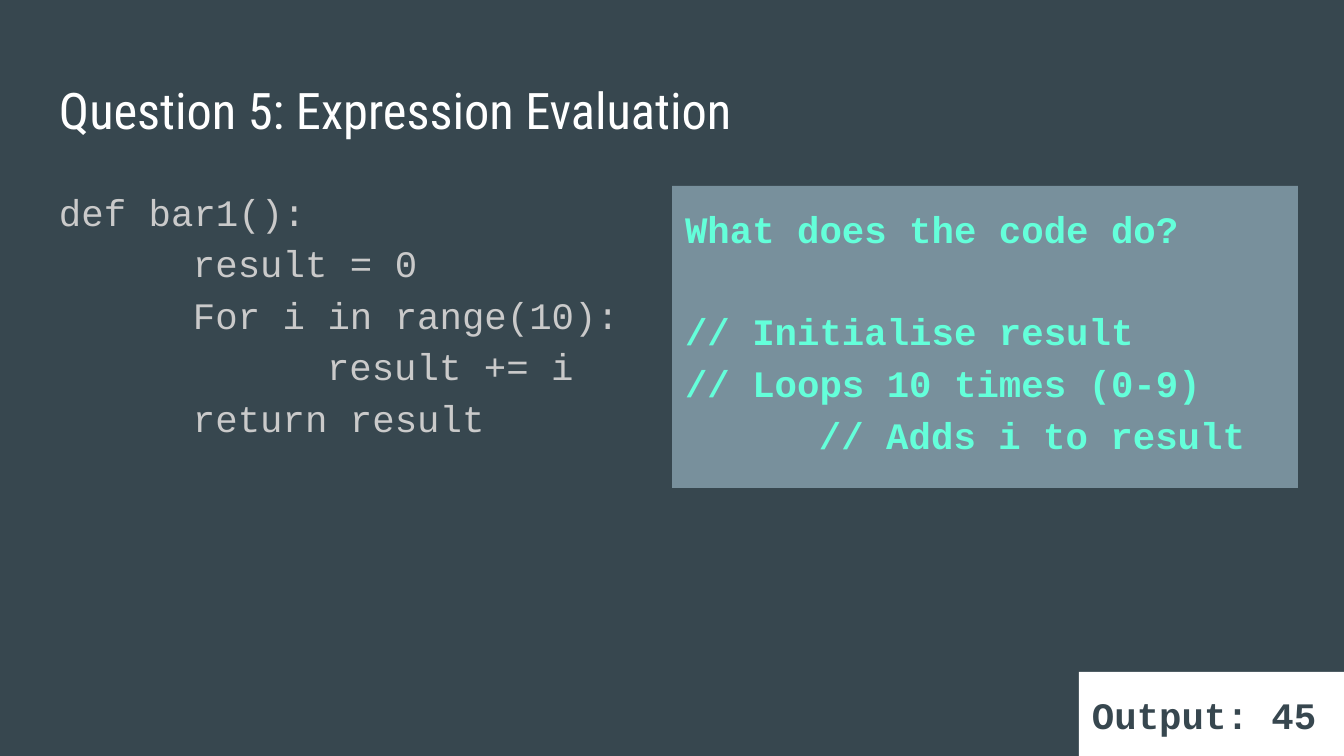
"""Build the slide on evaluating a loop expression."""
from pptx import Presentation
from pptx.dml.color import RGBColor
from pptx.enum.shapes import MSO_SHAPE
from pptx.enum.text import MSO_ANCHOR, PP_ALIGN
from pptx.util import Emu, Pt

RECTANGLE = MSO_SHAPE.RECTANGLE
TOP = MSO_ANCHOR.TOP
LEFT = PP_ALIGN.LEFT
COLOURS = {
    "background": "37474F",
    "title": "FFFFFF",
    "code": "CACACA",
    "panel": "78909C",
    "comment": "64FFDA",
    "output": "FFFFFF",
}
TAB = 134
INSET = 13
BLANK_LINE = Pt(27.5)


def px(length):
    return Emu(round(length * 9144000 / 1344))


def colour(name):
    return RGBColor.from_string(COLOURS[name])


presentation = Presentation()
presentation.slide_width = px(1344)
presentation.slide_height = px(756)
slide = presentation.slides.add_slide(presentation.slide_layouts[6])
slide.background.fill.solid()
slide.background.fill.fore_color.rgb = colour("background")

title_font = {"name": "Roboto Condensed", "size": Pt(27), "bold": False}
code_font = {"name": "Courier New", "size": Pt(20), "bold": False}
bold_font = {**code_font, "bold": True}

# each line holds its indent level, space before and text
blocks = [
    ((46, 66, 1253, 85), None, "title", title_font, 1.0, [
        (0, 0, "Question 5: Expression Evaluation"),
    ]),
    ((46, 169, 613, 503), None, "code", code_font, 1.15, [
        (0, 0, "def bar1():"),
        (1, 0, "result = 0"),
        (1, 0, "For i in range(10):"),
        (2, 0, "result += i"),
        (1, 0, "return result"),
    ]),
    ((672, 186, 626, 302), "panel", "comment", bold_font, 1.15, [
        (0, 0, "What does the code do?"),
        (0, BLANK_LINE, "// Initialise result"),
        (0, 0, "// Loops 10 times (0-9)"),
        (1, 0, "// Adds i to result"),
    ]),
    ((1079, 672, 265, 86), "output", "background", bold_font, 1.15, [
        (0, 0, "Output: 45"),
    ]),
]

for box, fill, text_colour, font_format, line_spacing, lines in blocks:
    place = [px(length) for length in box]
    if fill:
        shape = slide.shapes.add_shape(RECTANGLE, *place)
        shape.shadow.inherit = False
        shape.fill.solid()
        shape.fill.fore_color.rgb = colour(fill)
        shape.line.fill.background()
    else:
        shape = slide.shapes.add_textbox(*place)
    frame = shape.text_frame
    frame.word_wrap = True
    frame.vertical_anchor = TOP
    for side in ("left", "top", "right", "bottom"):
        setattr(frame, f"margin_{side}", px(INSET))
    for index, (level, space_before, text) in enumerate(lines):
        paragraph = frame.add_paragraph() if index else frame.paragraphs[0]
        paragraph_format = {
            "alignment": LEFT,
            "line_spacing": line_spacing,
            "space_before": Emu(space_before),
        }
        for name, value in paragraph_format.items():
            setattr(paragraph, name, value)
        paragraph._p.get_or_add_pPr().set("marL", str(px(TAB * level)))
        run = paragraph.add_run()
        run.text = text
        for name, value in font_format.items():
            setattr(run.font, name, value)
        run.font.color.rgb = colour(text_colour)

presentation.save("out.pptx")
